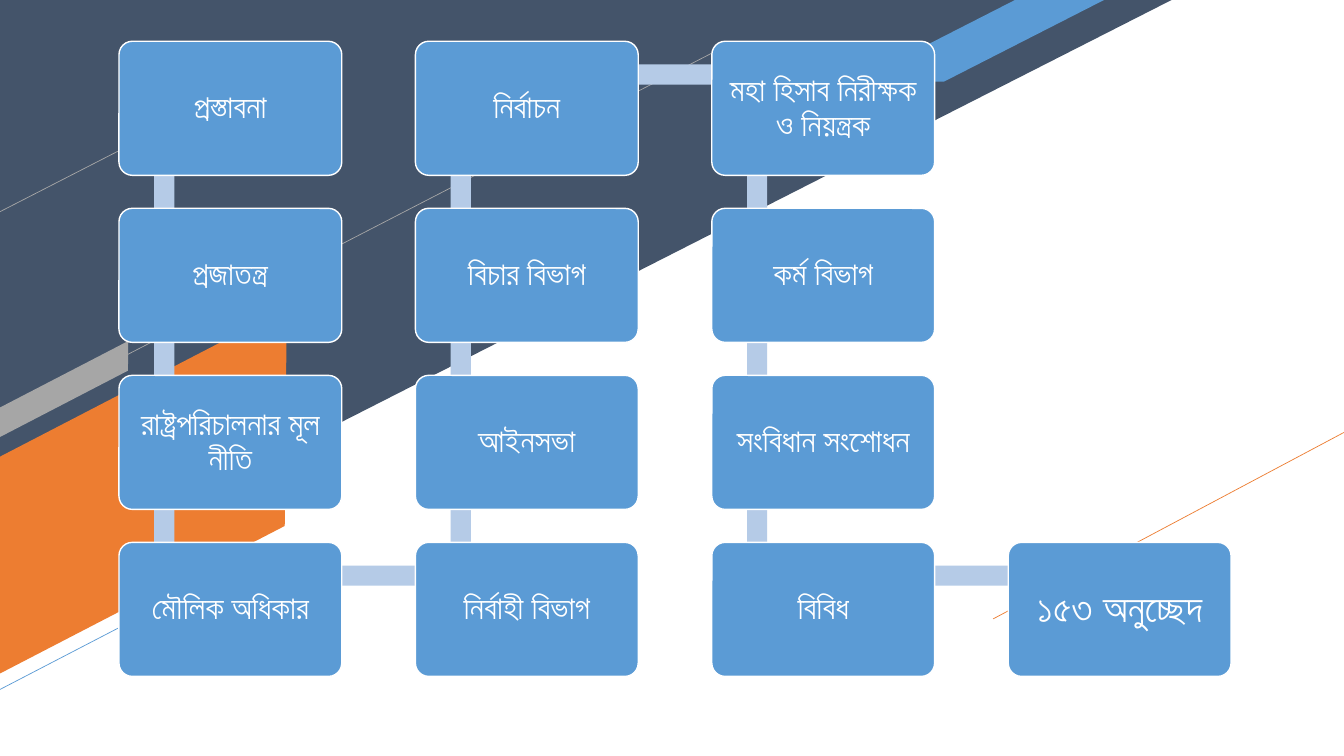
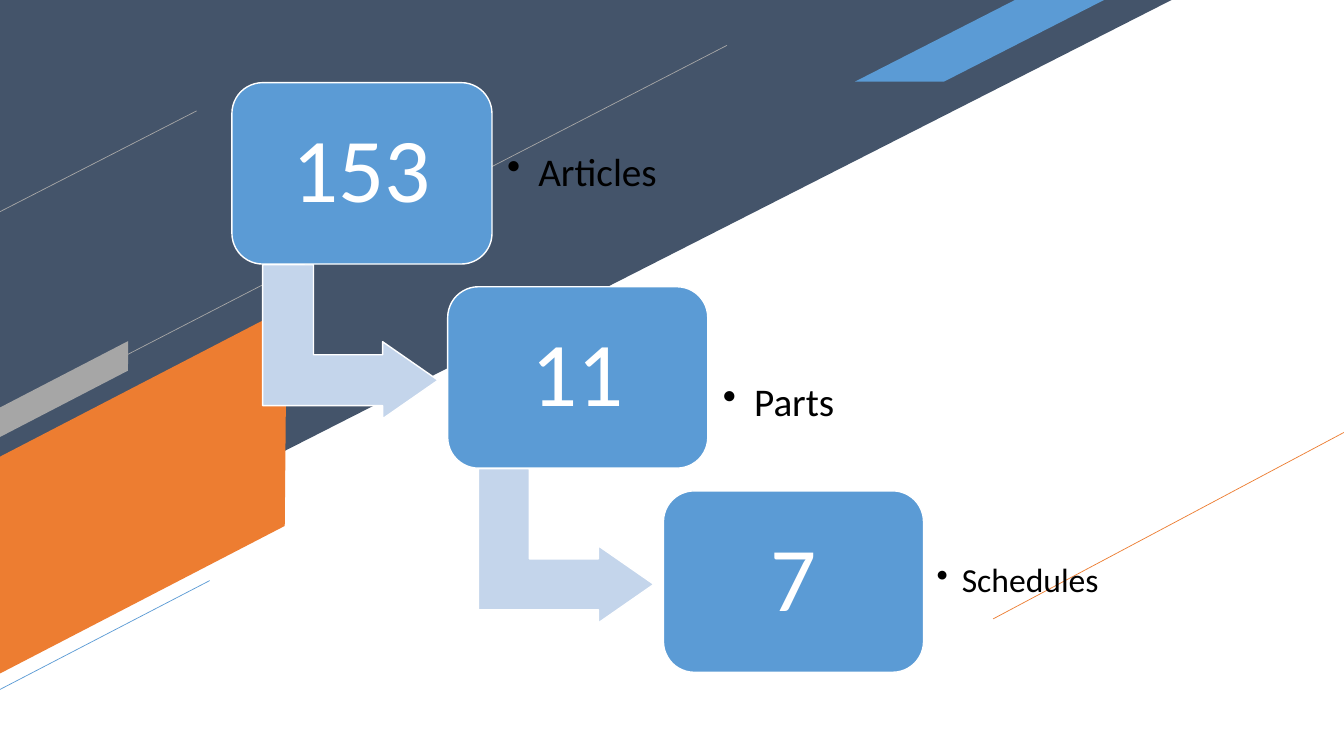
from itertools import pairwise

from lxml import etree
from pptx import Presentation
from pptx.dml.color import RGBColor
from pptx.enum import shapes as kinds, text as txt
from pptx.oxml import ns
from pptx.util import Inches, Pt

COLORS = {
    "navy": "44546A", "orange": "ED7D31", "gray": "A6A6A6", "blue": "5B9BD5",
    "bar": "B5CBE7", "arrow": "C4D5EB", "white": "FFFFFF", "black": "000000",
}
SHAPE = kinds.MSO_SHAPE

# preset, (left, top, width, height), rotation, adjustments, colour
BACKDROP_SHAPES = [
    (SHAPE.RIGHT_TRIANGLE, (0, 0, 11.62, 5.91), 0, (), "navy"),
    (SHAPE.PARALLELOGRAM, (-0.7, 3.92, 4.22, 1.91), 332.6, (0.53,), "orange"),
    (SHAPE.PARALLELOGRAM, (8.48, 0, 2.47, 0.81), 0, (1.96,), "blue"),
    (SHAPE.PARALLELOGRAM, (-0.15, 3.73, 1.57, 0.26), 332.6, (0.53,), "gray"),
]
# start x, start y, end x, end y, colour
BACKDROP_LINES = [
    (0, 2.1, 1.95, 1.1, "gray"),
    (9.85, 6.14, 13.33, 4.29, "orange"),
    (0, 4.17, 7.21, 0.45, "gray"),
    (-0.02, 6.85, 2.08, 5.76, "blue"),
]

# The chain runs down the first column, up the second, down the third.
TOPICS = [
    "প্রস্তাবনা", "প্রজাতন্ত্র", "রাষ্ট্রপরিচালনার মূল নীতি", "মৌলিক অধিকার",
    "নির্বাহী বিভাগ", "আইনসভা", "বিচার বিভাগ", "নির্বাচন",
    "মহা হিসাব নিরীক্ষক ও নিয়ন্ত্রক", "কর্ম বিভাগ", "সংবিধান সংশোধন", "বিবিধ",
]
TOTAL = "১৫৩ অনুচ্ছেদ"
ROWS = 4
TOPIC_LEFT, TOPIC_TOP, TOPIC_W, TOPIC_H = 1.18, 0.41, 2.21, 1.33
COLUMN_PITCH, ROW_PITCH = 2.94, 1.657
BAR = 0.2

# number, label, label size, label inset, bullet indent, label drop
COUNTS = [
    ("153", "Articles", 28, 0.15, 0.31, 0),
    ("11", "Parts", 28, 0.15, 0.31, 0.26),
    ("7", "Schedules", 24, 0.13, 0.25, 0),
]
COUNT_LEFT, COUNT_TOP, COUNT_W, COUNT_H = 2.3, 0.82, 2.58, 1.8
STEP_X, STEP_Y = 2.14, 2.025


def rgb(name):
    return RGBColor.from_string(COLORS[name])


def inches(values):
    return [Inches(value) for value in values]


def add_shape(slide, preset, place, fill, adjustments=(), outline=None):
    shape = slide.shapes.add_shape(preset, *inches(place))
    shape.shadow.inherit = False
    shape.fill.solid()
    shape.fill.fore_color.rgb = rgb(fill)
    if outline:
        shape.line.color.rgb = rgb(outline)
        shape.line.width = Pt(1)
    else:
        shape.line.fill.background()
    for index, value in enumerate(adjustments):
        shape.adjustments[index] = value
    return shape


def write(shape, words, size, font, color, inset, align, bold=None, bullet_indent=None):
    frame = shape.text_frame
    frame.word_wrap = True
    frame.vertical_anchor = txt.MSO_ANCHOR.MIDDLE
    frame.margin_left = frame.margin_right = Inches(inset)
    frame.margin_top = frame.margin_bottom = Inches(inset)
    paragraph = frame.paragraphs[0]
    paragraph.text = words
    paragraph.alignment = align
    paragraph.line_spacing = 0.9
    if bullet_indent:
        props = paragraph._p.get_or_add_pPr()
        props.set("marL", str(Inches(bullet_indent)))
        props.set("indent", str(-Inches(bullet_indent)))
        etree.SubElement(props, ns.qn("a:buChar"), char="•")
    paragraph.font.size = Pt(size)
    paragraph.font.name = font
    paragraph.font.bold = bold
    paragraph.font.color.rgb = rgb(color)


def add_card(slide, place, corner, words, size, font, inset, bold=None):
    card = add_shape(slide, SHAPE.ROUNDED_RECTANGLE, place, "blue", (corner,), "white")
    write(card, words, size, font, "white", inset, txt.PP_ALIGN.CENTER, bold)


def set_backdrop(slide):
    """Draw the bands and lines, then hand them to the layout all slides share."""
    parts = []
    for preset, place, rotation, adjustments, color in BACKDROP_SHAPES:
        band = add_shape(slide, preset, place, color, adjustments)
        band.rotation = rotation
        if preset == SHAPE.RIGHT_TRIANGLE:
            band.element.spPr.xfrm.set("flipV", "1")
        parts.append(band)
    for *ends, color in BACKDROP_LINES:
        line = slide.shapes.add_connector(kinds.MSO_CONNECTOR.STRAIGHT, *inches(ends))
        line.line.color.rgb = rgb(color)
        line.line.width = Pt(0.5)
        etree.SubElement(line.element.spPr, ns.qn("a:effectLst"))
        parts.append(line)
    tree = slide.slide_layout.shapes.element
    for part in parts:
        tree.append(part.element)


def topic_cell(index):
    column, step = divmod(index, ROWS)
    row = ROWS - 1 - step if column % 2 else step
    return column, row


def topic_corner(column, row):
    return TOPIC_LEFT + column * COLUMN_PITCH, TOPIC_TOP + row * ROW_PITCH


def add_topic_chain(slide):
    cells = [topic_cell(index) for index in range(len(TOPICS))]
    cells.append((cells[-1][0] + 1, ROWS - 1))
    for start, end in pairwise(cells):
        left, top = topic_corner(*min(start, end))
        if start[0] == end[0]:
            place = (left + 0.35, top + 0.33, BAR, ROW_PITCH)
        else:
            place = (left + 0.45, top + 0.23, COLUMN_PITCH, BAR)
        add_shape(slide, SHAPE.RECTANGLE, place, "bar")
    for cell, words in zip(cells, TOPICS + [TOTAL]):
        is_total = words == TOTAL
        add_card(slide, (*topic_corner(*cell), TOPIC_W, TOPIC_H), 0.1, words,
                 28 if is_total else 23, "Arial", 0.16 if is_total else 0.14,
                 is_total or None)


def add_count_steps(slide):
    for index, (number, label, size, inset, indent, drop) in enumerate(COUNTS):
        left, top = COUNT_LEFT + index * STEP_X, COUNT_TOP + index * STEP_Y
        if index < len(COUNTS) - 1:
            arrow = add_shape(slide, SHAPE.BENT_UP_ARROW, (left + 0.41, top + 1.7, 1.53, 1.74),
                              "arrow", (0.33, 0.25, 0.36), "white")
            arrow.rotation = 90
        add_card(slide, (left, top, COUNT_W, COUNT_H), 0.17, number, 65, "Calibri", 0.36)
        caption = slide.shapes.add_textbox(
            *inches((left + COUNT_W, top + 0.17 + drop, 1.87, 1.46)))
        write(caption, label, size, "Calibri", "black", inset, txt.PP_ALIGN.LEFT,
              bullet_indent=indent)


def main():
    deck = Presentation()
    deck.slide_width, deck.slide_height = Inches(13.33), Inches(7.5)
    blank = deck.slide_layouts[6]
    topics, counts = (deck.slides.add_slide(blank) for _ in range(2))
    set_backdrop(topics)
    add_topic_chain(topics)
    add_count_steps(counts)
    deck.save("out.pptx")


if __name__ == "__main__":
    main()
